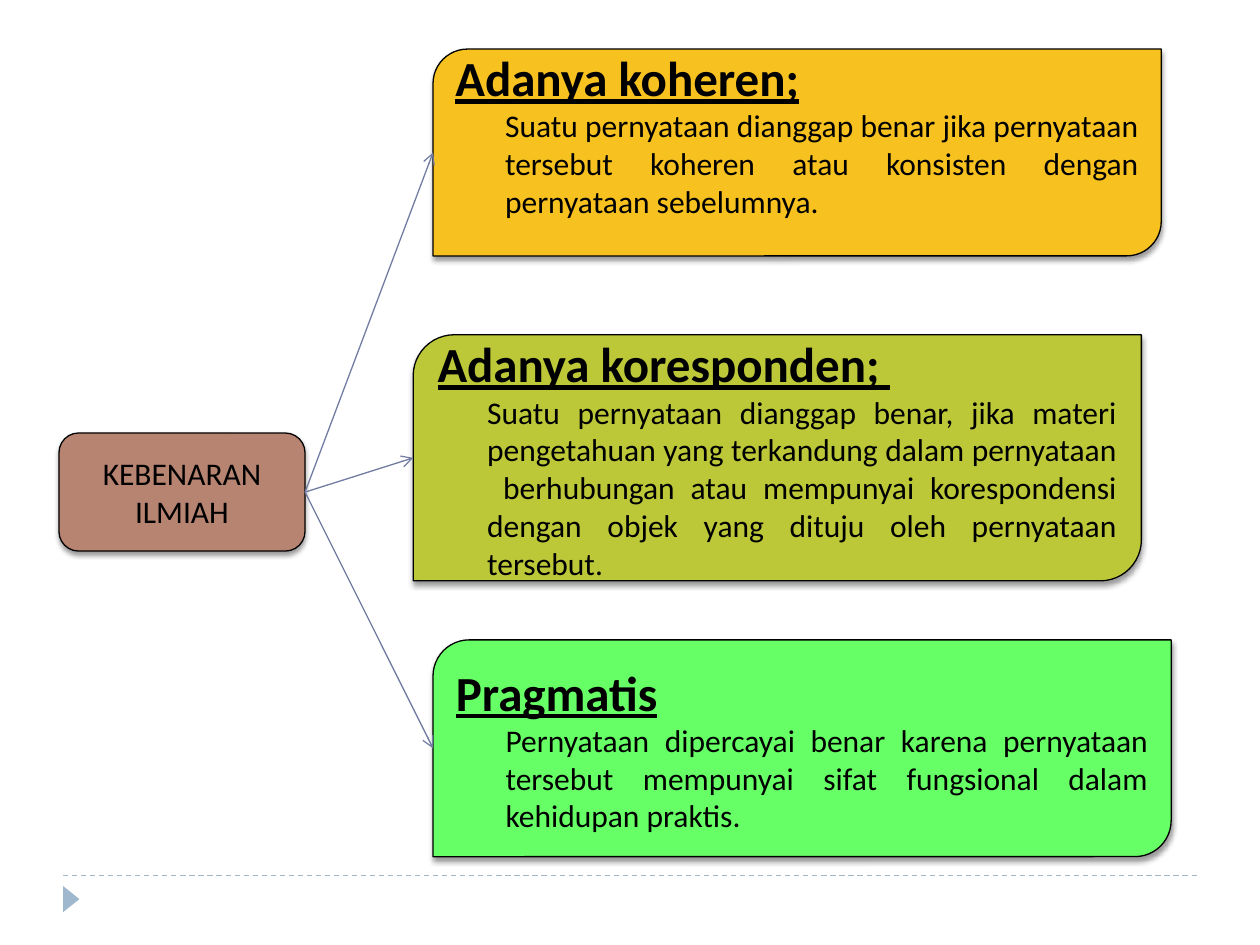
from dataclasses import dataclass

import pptx
import pptx.dml.color
import pptx.enum.dml
import pptx.enum.shapes
import pptx.enum.text
import pptx.oxml
import pptx.oxml.ns
import pptx.util

Cm = pptx.util.Cm
Pt = pptx.util.Pt
ShapeKind = pptx.enum.shapes.MSO_SHAPE
Align = pptx.enum.text.PP_ALIGN
STRAIGHT = pptx.enum.shapes.MSO_CONNECTOR.STRAIGHT


@dataclass(frozen=True)
class Theme:
    font: str = "Calibri"
    heading_size: int = 28
    body_size: int = 18
    line_width: float = 0.75
    ink: str = "000000"
    topic: str = "B88472"
    coherence: str = "F7C120"
    correspondence: str = "BCC838"
    pragmatic: str = "66FF66"
    arrow: str = "727CA3"
    footer: str = "9FB8CD"


THEME = Theme()

# left, top, width, height in cm; fill; heading; body; bottom inset in cm
CARDS = [
    (8.73, 0.99, 14.68, 4.17, THEME.coherence, "Adanya koheren;",
     "Suatu pernyataan dianggap benar jika pernyataan tersebut koheren atau "
     "konsisten dengan pernyataan sebelumnya.", 0.89),
    (8.33, 6.75, 14.68, 4.96, THEME.correspondence, "Adanya koresponden; ",
     "Suatu pernyataan dianggap benar, jika materi pengetahuan yang terkandung "
     "dalam pernyataan  berhubungan atau mempunyai korespondensi dengan objek "
     "yang dituju oleh pernyataan tersebut.", 0.13),
    (8.73, 12.9, 14.88, 4.37, THEME.pragmatic, "Pragmatis",
     "Pernyataan dipercayai benar karena pernyataan tersebut mempunyai sifat "
     "fungsional dalam kehidupan praktis.", 0.13),
]


def rgb(value):
    return pptx.dml.color.RGBColor.from_string(value)


def append_effects(shape, content=""):
    """Give the shape its own effect list; an empty one means no shadow."""
    namespace = pptx.oxml.ns.nsdecls("a")
    shape._element.spPr.append(pptx.oxml.parse_xml(
        f"<a:effectLst {namespace}>{content}</a:effectLst>"))


def add_box(slide, kind, left, top, width, height, fill):
    """Add an outlined box with a soft shadow below it."""
    box = slide.shapes.add_shape(kind, Cm(left), Cm(top), Cm(width), Cm(height))
    box.fill.solid()
    box.fill.fore_color.rgb = rgb(fill)
    box.line.color.rgb = rgb(THEME.ink)
    box.line.width = Pt(THEME.line_width)
    append_effects(
        box,
        f'<a:outerShdw blurRad="{Pt(3)}" dist="{Pt(2)}" dir="5400000" rotWithShape="0">'
        f'<a:srgbClr val="{THEME.ink}"><a:alpha val="40000"/></a:srgbClr></a:outerShdw>')
    box.text_frame.word_wrap = True
    box.text_frame.vertical_anchor = pptx.enum.text.MSO_ANCHOR.MIDDLE
    return box


def format_paragraph(paragraph, size, align, left=0, first_line=0, strong=False):
    paragraph.alignment = align
    properties = paragraph._p.get_or_add_pPr()
    properties.set("marL", str(Cm(left)))
    properties.set("indent", str(Cm(first_line)))
    for run in paragraph.runs:
        run.font.name = THEME.font
        run.font.size = Pt(size)
        run.font.color.rgb = rgb(THEME.ink)
        run.font.bold = strong
        run.font.underline = strong


def add_topic(slide):
    topic = add_box(slide, ShapeKind.FLOWCHART_ALTERNATE_PROCESS,
                    1.19, 8.73, 4.96, 2.38, THEME.topic)
    topic.text_frame.text = "KEBENARAN ILMIAH"
    format_paragraph(topic.text_frame.paragraphs[0], THEME.body_size, Align.CENTER)
    return topic


def add_card(slide, left, top, width, height, fill, heading, body, bottom_inset):
    card = add_box(slide, ShapeKind.ROUND_2_DIAG_RECTANGLE,
                   left, top, width, height, fill)
    card.text_frame.margin_bottom = Cm(bottom_inset)
    card.text_frame.text = f"{heading}\n{body}"
    title, explanation = card.text_frame.paragraphs
    format_paragraph(title, THEME.heading_size, Align.LEFT, 1.43, -1.43, strong=True)
    format_paragraph(explanation, THEME.body_size, Align.JUSTIFY, 1)
    return card


def add_line(slide, color):
    line = slide.shapes.add_connector(STRAIGHT, 0, 0, 0, 0)
    line.line.color.rgb = rgb(color)
    line.line.width = Pt(THEME.line_width)
    append_effects(line)
    return line


def add_arrow(slide, topic, card):
    arrow = add_line(slide, THEME.arrow)
    arrow.begin_connect(topic, 3)
    arrow.end_connect(card, 1)
    # This card shape numbers its sites right, bottom, left, top.
    arrow._element.nvCxnSpPr.cNvCxnSpPr.endCxn.set("idx", "2")
    arrow.line._get_or_add_ln().append(pptx.oxml.parse_xml(
        f'<a:tailEnd {pptx.oxml.ns.nsdecls("a")} type="arrow"/>'))


def add_footer(slide):
    rule = add_line(slide, THEME.footer)
    rule.begin_x, rule.end_x = Cm(1.27), Cm(24.13)
    rule.begin_y = rule.end_y = Cm(17.65)
    rule.line.dash_style = pptx.enum.dml.MSO_LINE.DASH

    marker = slide.shapes.add_shape(ShapeKind.ISOSCELES_TRIANGLE,
                                    Cm(1.17), Cm(17.96), Cm(0.53), Cm(0.33))
    marker.rotation = 90
    marker.shadow.inherit = False
    marker.fill.solid()
    marker.fill.fore_color.rgb = rgb(THEME.footer)
    marker.line.fill.background()


def main():
    presentation = pptx.Presentation()
    presentation.slide_width = Cm(25.4)
    presentation.slide_height = Cm(19.05)
    slide = presentation.slides.add_slide(presentation.slide_layouts[6])

    add_footer(slide)
    topic = add_topic(slide)
    cards = [add_card(slide, *card) for card in CARDS]
    for card in cards:
        add_arrow(slide, topic, card)

    presentation.save("out.pptx")


if __name__ == "__main__":
    main()
